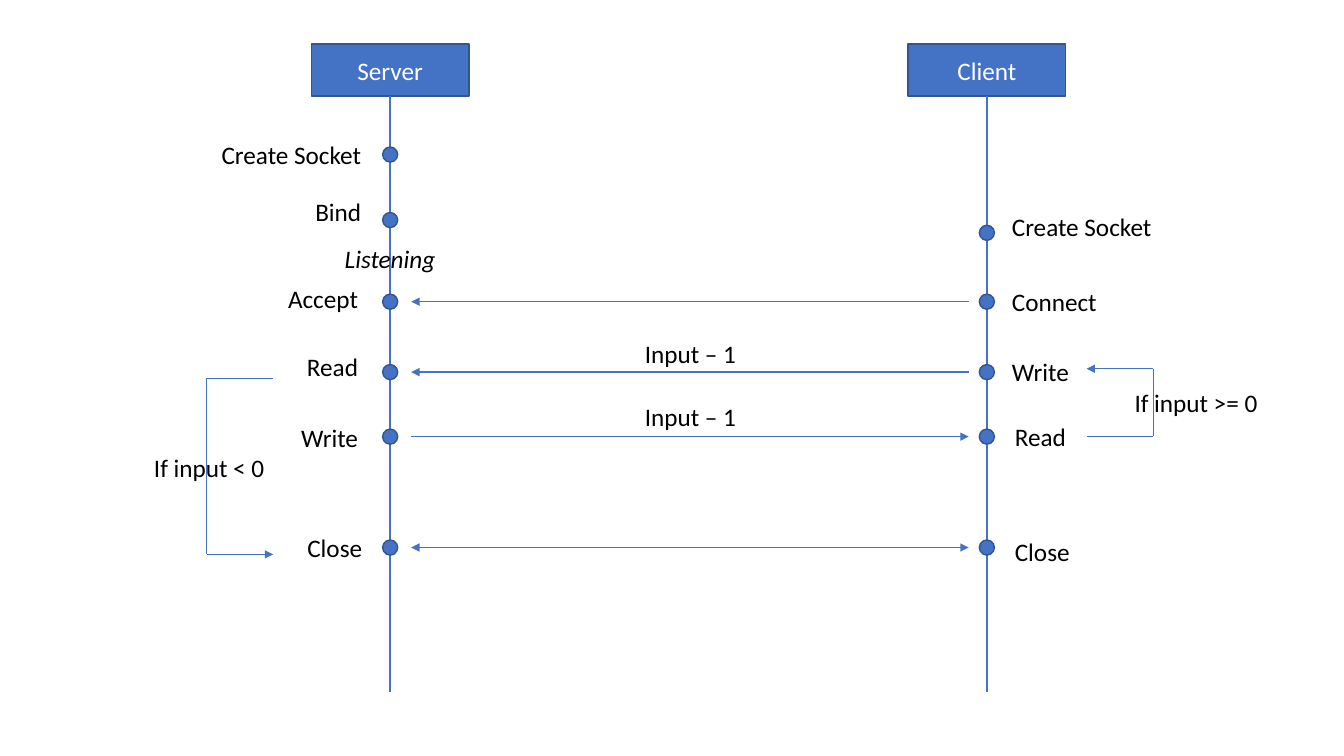
from lxml.etree import SubElement
from pptx import Presentation
from pptx.dml.color import RGBColor
from pptx.enum.shapes import MSO_CONNECTOR, MSO_SHAPE
from pptx.enum.text import MSO_ANCHOR, MSO_AUTO_SIZE, PP_ALIGN
from pptx.oxml.ns import qn
from pptx.util import Pt

BLUE, EDGE, WHITE, BLACK = "4472C4", "325491", "FFFFFF", "000000"
LEFT, CENTER, RIGHT = PP_ALIGN.LEFT, PP_ALIGN.CENTER, PP_ALIGN.RIGHT
BOX_TOP, BOX_WIDTH, BOX_HEIGHT = 31.5, 112.5, 37
LIFELINE_END = 494
DOT = 10.8
LABEL_WIDTH, LABEL_HEIGHT = 116.6, 29
ARROW_GAP = 14

# name, lifeline x, label alignment, steps (text, dot y, label left, label top)
ACTORS = [
    ("Server", 278.7, RIGHT, [
        ("Create Socket", 110.4, 148.5, 95.8),
        ("Bind", 157.2, 148.5, 136.8),
        ("Accept", 215.5, 146.2, 198.7),
        ("Read", 265.8, 146.2, 247.5),
        ("Write", 311.9, 146.2, 298),
        ("Close", 391.1, 149.2, 376.5),
    ]),
    ("Client", 704.9, LEFT, [
        ("Create Socket", 166.3, 715.7, 147.7),
        ("Connect", 215.5, 715.7, 200.8),
        ("Write", 265.8, 715.7, 251.3),
        ("Read", 311.9, 717.8, 297.3),
        ("Close", 391.1, 717.8, 379.4),
    ]),
]
# y, line width, arrowhead at server, arrowhead at client
MESSAGES = [
    (215.5, 1, True, False),
    (265.8, 1, True, False),
    (311.9, 1, False, True),
    (391.1, 0.5, True, True),
]
# spine x, open end x, top, bottom, arrowhead at top
LOOPS = [
    (823.6, 776.1, 263.4, 311.8, True),
    (147.6, 195.1, 270, 396, False),
]
# text, left, top, width, italic
NOTES = [
    ("Listening", 234, 170, 89.3, True),
    ("Input – 1", 439.2, 238.3, 108, False),
    ("Input – 1", 439.2, 283, 108, False),
    ("If input >= 0", 763.9, 273, 180.7, False),
    ("If input < 0", 90, 319.7, 118.8, False),
]


def color(value):
    return RGBColor.from_string(value)


def write(frame, text, alignment, text_color, italic=False):
    paragraph = frame.paragraphs[0]
    paragraph.alignment = alignment
    run = paragraph.add_run()
    run.text = text
    run.font.name = "Calibri"
    run.font.size = Pt(18)
    run.font.italic = italic
    run.font.color.rgb = color(text_color)


def add_label(text, left, top, width, alignment, italic=False):
    box = slide.shapes.add_textbox(Pt(left), Pt(top), Pt(width), Pt(LABEL_HEIGHT))
    box.text_frame.word_wrap = True
    box.text_frame.auto_size = MSO_AUTO_SIZE.SHAPE_TO_FIT_TEXT
    write(box.text_frame, text, alignment, BLACK, italic)


def add_blue_shape(kind, left, top, width, height):
    shape = slide.shapes.add_shape(kind, Pt(left), Pt(top), Pt(width), Pt(height))
    shape.shadow.inherit = False
    shape.fill.solid()
    shape.fill.fore_color.rgb = color(BLUE)
    shape.line.color.rgb = color(EDGE)
    shape.line.width = Pt(1)
    return shape


def add_line(shapes, start, end, width, head=False, tail=False):
    points = [Pt(value) for value in (*start, *end)]
    connector = shapes.add_connector(MSO_CONNECTOR.STRAIGHT, *points)
    connector.line.color.rgb = color(BLUE)
    connector.line.width = Pt(width)
    properties = connector._element.spPr
    outline = properties.find(qn("a:ln"))
    for tag, wanted in (("a:headEnd", head), ("a:tailEnd", tail)):
        if wanted:
            SubElement(outline, qn(tag), type="triangle")
    SubElement(properties, qn("a:effectLst"))


presentation = Presentation()
presentation.slide_width, presentation.slide_height = Pt(960), Pt(540)
slide = presentation.slides.add_slide(presentation.slide_layouts[6])

for name, x, alignment, steps in ACTORS:
    box = add_blue_shape(MSO_SHAPE.RECTANGLE, x - BOX_WIDTH / 2, BOX_TOP, BOX_WIDTH, BOX_HEIGHT)
    box.text_frame.vertical_anchor = MSO_ANCHOR.MIDDLE
    write(box.text_frame, name, CENTER, WHITE)
    add_line(slide.shapes, (x, BOX_TOP + BOX_HEIGHT), (x, LIFELINE_END), 1.5)
    for text, y, left, top in steps:
        add_blue_shape(MSO_SHAPE.OVAL, x - DOT / 2, y - DOT / 2, DOT, DOT)
        add_label(text, left, top, LABEL_WIDTH, alignment)

server_x, client_x = (actor[1] for actor in ACTORS)
for y, width, at_server, at_client in MESSAGES:
    start, end = (server_x + ARROW_GAP + 1, y), (client_x - ARROW_GAP + 1, y)
    add_line(slide.shapes, start, end, width, at_server, at_client)

for spine, open_end, top, bottom, arrow_at_top in LOOPS:
    loop = slide.shapes.add_group_shape()
    add_line(loop.shapes, (spine, top), (open_end, top), 0.5, tail=arrow_at_top)
    add_line(loop.shapes, (spine, top), (spine, bottom), 0.5)
    add_line(loop.shapes, (spine, bottom), (open_end, bottom), 0.5, tail=not arrow_at_top)

for text, left, top, width, italic in NOTES:
    add_label(text, left, top, width, CENTER, italic)

presentation.save("out.pptx")
